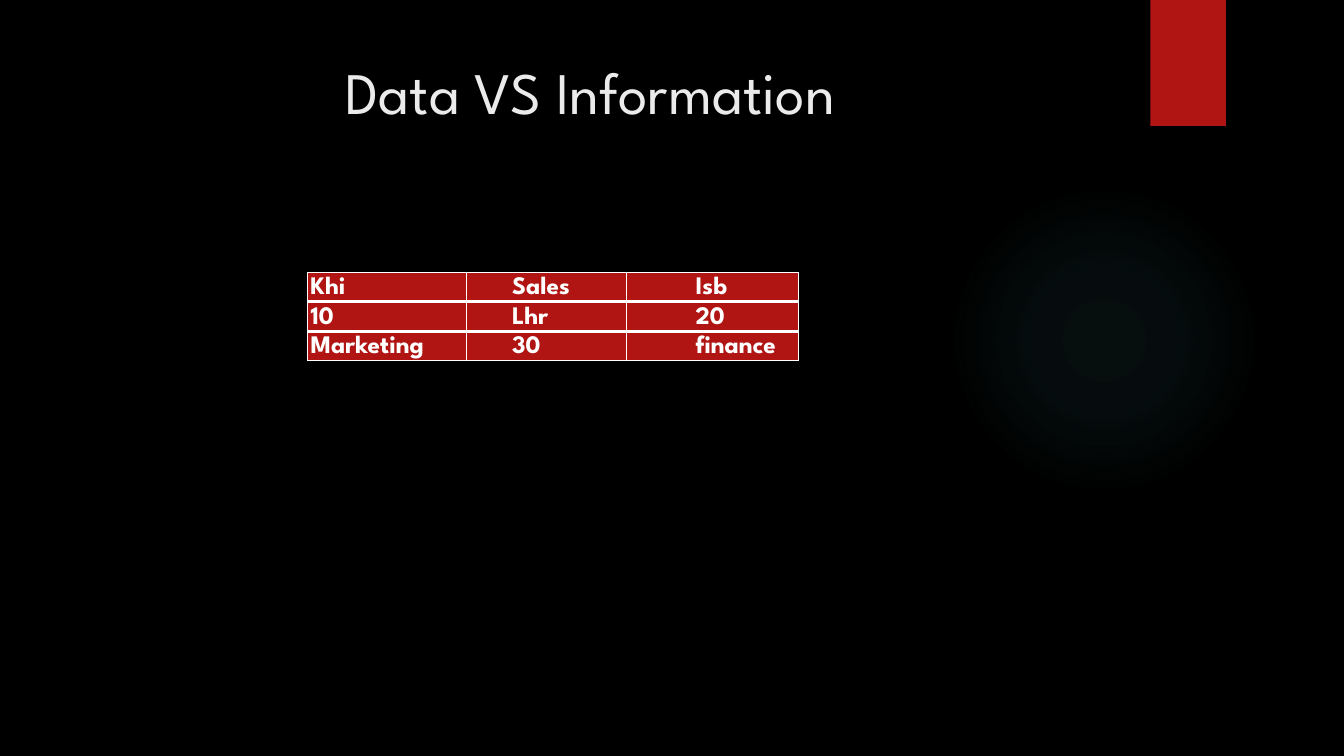
from lxml.etree import SubElement
from pptx import Presentation
from pptx.dml.color import RGBColor
from pptx.enum.shapes import MSO_SHAPE
from pptx.enum.text import MSO_ANCHOR, PP_ALIGN
from pptx.oxml import parse_xml
from pptx.oxml.ns import nsdecls, qn
from pptx.util import Inches, Pt

TITLE = "Data VS Information"
ROWS = [
    ("Khi", "Sales", "Isb"),
    ("10", "Lhr", "20"),
    ("Marketing", "30", "finance"),
]
COLUMN_WIDTHS = [1.58, 1.58, 1.71]
COLUMN_INDENTS = [0.03, 0.45, 0.69]
ROW_HEIGHTS = [0.29, 0.3, 0.29]
ROW_SPACING = [(19.9, 3.6), (20.4, 0.1), (19.7, 0.1)]
GLOW_STOPS = [(0, 7), (36, 6), (69, 0)]
FONT = "League Spartan"
COLORS = {
    "background": "000000",
    "red": "B01513",
    "glow": "50B9C1",
    "title": "EBEBEB",
    "white": "FFFFFF",
}


def color(name):
    return RGBColor.from_string(COLORS[name])


def write(frame, text, size, ink, bold=False, align=PP_ALIGN.LEFT,
          indent=0, line=None, before=None):
    para = frame.paragraphs[0]
    para.alignment = align
    para.line_spacing = line
    para.space_before = before
    properties = para._p.get_or_add_pPr()
    properties.set("marL", str(Inches(indent)))
    properties.set("indent", "0")
    span = para.add_run()
    span.text = text
    span.font.name = FONT
    span.font.size = Pt(size)
    span.font.bold = bold
    span.font.color.rgb = color(ink)


def add_plain_shape(page, kind, left, top, width, height):
    shape = page.shapes.add_shape(
        kind, Inches(left), Inches(top), Inches(width), Inches(height))
    shape.shadow.inherit = False
    shape.line.fill.background()
    return shape


def add_glow(page):
    glow = add_plain_shape(page, MSO_SHAPE.OVAL, 9.41, 1.83, 3.08, 3.08)
    glow.fill.gradient()
    stops = "".join(
        f'<a:gs pos="{place * 1000}"><a:srgbClr val="{COLORS["glow"]}">'
        f'<a:alpha val="{opacity * 1000}"/></a:srgbClr></a:gs>'
        for place, opacity in GLOW_STOPS)
    gradient = parse_xml(
        f'<a:gradFill {nsdecls("a")} rotWithShape="1"><a:gsLst>{stops}</a:gsLst>'
        '<a:path path="circle"><a:fillToRect l="50000" t="50000" '
        'r="50000" b="50000"/></a:path></a:gradFill>')
    properties = glow._element.spPr
    properties.replace(properties.find(qn("a:gradFill")), gradient)


def add_ribbon(page):
    ribbon = add_plain_shape(page, MSO_SHAPE.RECTANGLE, 11.41, 0, 0.75, 1.25)
    ribbon.fill.solid()
    ribbon.fill.fore_color.rgb = color("red")
    effects = ribbon._element.spPr.find(qn("a:effectLst"))
    shadow = SubElement(effects, qn("a:outerShdw"), blurRad=str(Pt(3)),
                        dist=str(Pt(2)), dir="5400000", rotWithShape="0")
    shade = SubElement(shadow, qn("a:srgbClr"), val=COLORS["background"])
    SubElement(shade, qn("a:alpha"), val="45000")


def set_borders(cell, widths):
    properties = cell._tc.get_or_add_tcPr()
    for position, (side, width) in enumerate(widths.items()):
        border = parse_xml(
            f'<a:ln{side} {nsdecls("a")} w="{Pt(width)}"><a:solidFill>'
            f'<a:srgbClr val="{COLORS["white"]}"/></a:solidFill></a:ln{side}>')
        properties.insert(position, border)


def add_data_table(page):
    frame = page.shapes.add_table(
        len(ROWS), len(COLUMN_WIDTHS), Inches(3.05), Inches(2.7),
        Inches(sum(COLUMN_WIDTHS)), Inches(sum(ROW_HEIGHTS)))
    table = frame.table
    table.first_row = table.horz_banding = False
    for column, width in zip(table.columns, COLUMN_WIDTHS):
        column.width = Inches(width)
    last = len(ROWS) - 1
    for r, words in enumerate(ROWS):
        table.rows[r].height = Inches(ROW_HEIGHTS[r])
        line, before = ROW_SPACING[r]
        for c, word in enumerate(words):
            cell = table.cell(r, c)
            cell.margin_left = cell.margin_right = 0
            cell.margin_top = cell.margin_bottom = 0
            cell.fill.solid()
            cell.fill.fore_color.rgb = color("red")
            set_borders(cell, {"L": 1, "R": 1, "T": 3 if r > 0 else 1,
                               "B": 3 if r < last else 1})
            write(cell.text_frame, word, size=18, ink="white", bold=True,
                  indent=COLUMN_INDENTS[c], line=Pt(line), before=Pt(before))


def main():
    deck = Presentation()
    deck.slide_width, deck.slide_height = Inches(13.33), Inches(7.5)
    page = deck.slides.add_slide(deck.slide_layouts[6])
    page.background.fill.solid()
    page.background.fill.fore_color.rgb = color("background")
    add_glow(page)
    add_ribbon(page)
    box = page.shapes.add_textbox(
        Inches(0.71), Inches(0.5), Inches(10.29), Inches(1.53))
    box.text_frame.word_wrap = True
    box.text_frame.vertical_anchor = MSO_ANCHOR.TOP
    write(box.text_frame, TITLE, size=42, ink="title", align=PP_ALIGN.CENTER)
    add_data_table(page)
    deck.save("out.pptx")


if __name__ == "__main__":
    main()
